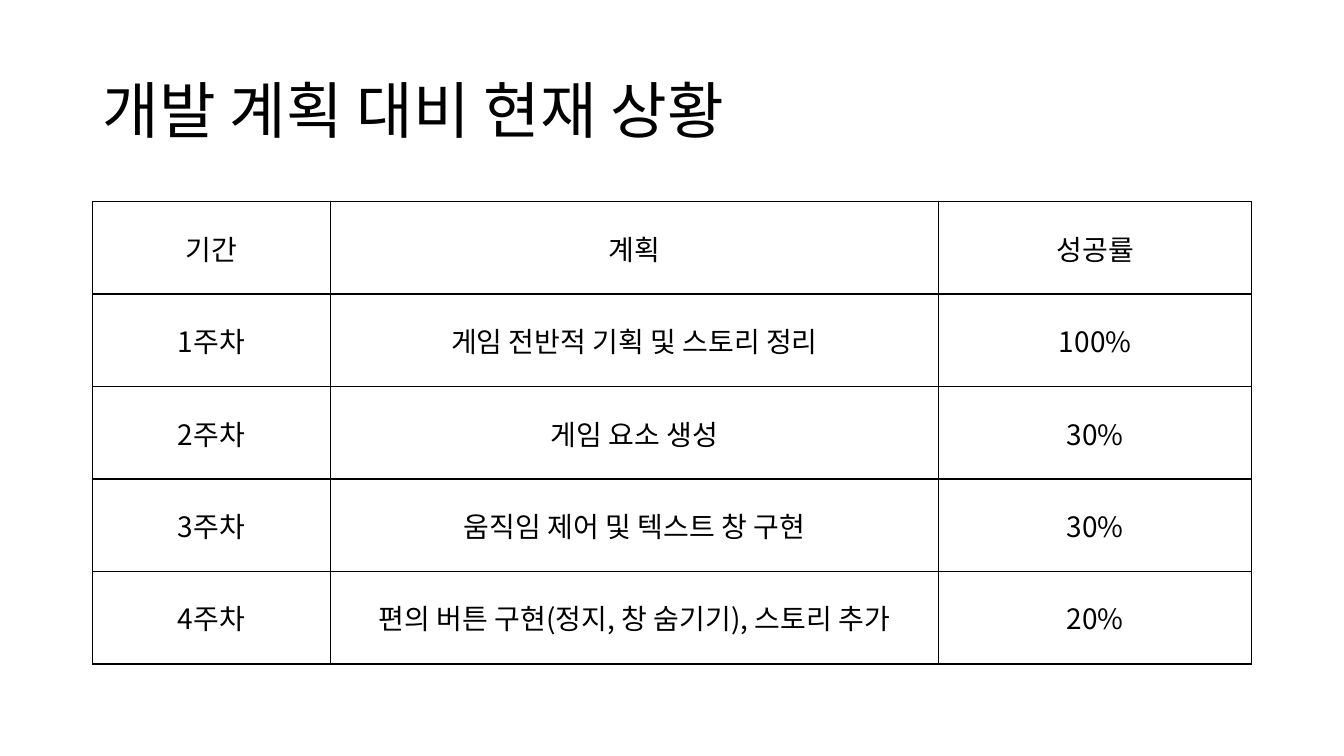
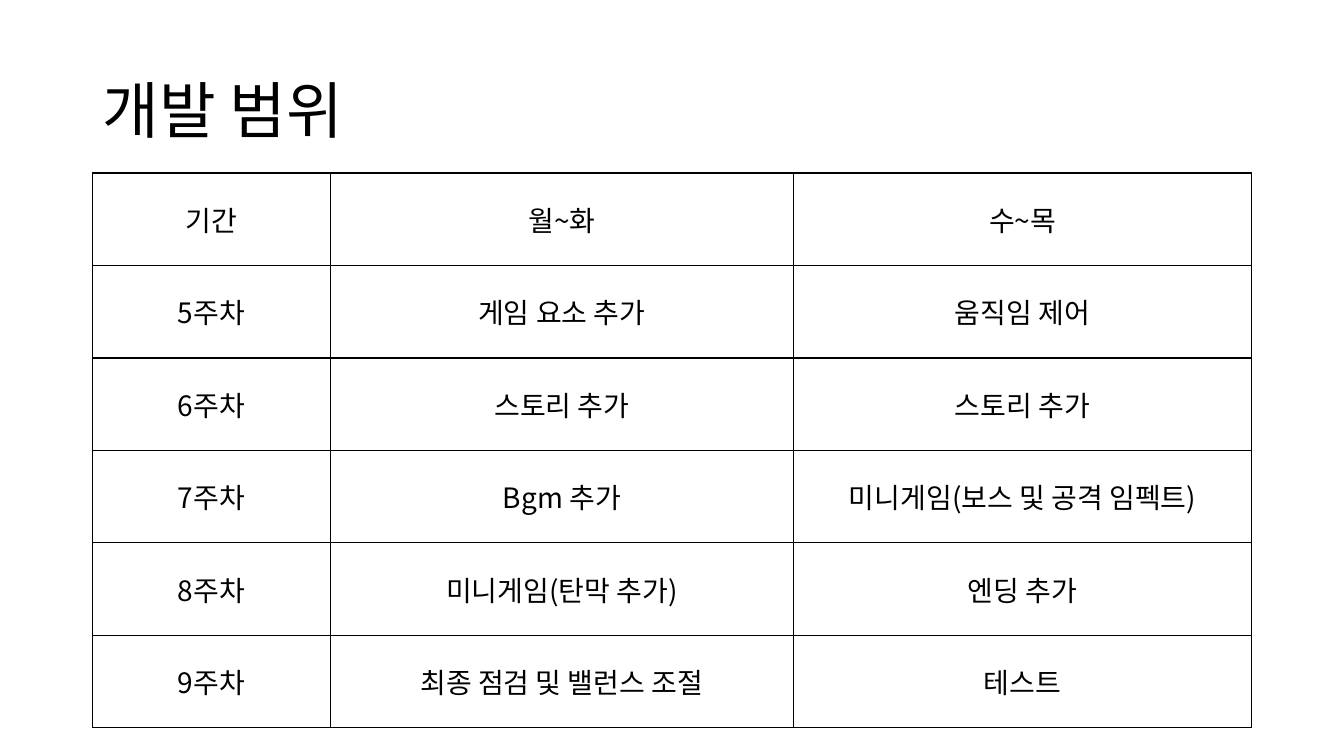
from dataclasses import dataclass

import lxml.etree
import pptx
import pptx.dml.color
import pptx.enum.text
import pptx.oxml.ns
import pptx.util

Cm = pptx.util.Cm
Pt = pptx.util.Pt
qn = pptx.oxml.ns.qn

FONT = "Noto Sans CJK KR"
BLACK = "000000"
WHITE = "FFFFFF"
LEFT, WIDTH = 2.33, 29.21
TITLE_TOP, TITLE_HEIGHT = 1.02, 3.68
ROW_HEIGHT = 2.33
PERIOD_WIDTH = 5.99


@dataclass(frozen=True)
class Schedule:
    title: str
    top: float
    plan_width: float
    rows: list[tuple[str, str, str]]


SCHEDULES = [
    Schedule("개발 계획 대비 현재 상황", 5.08, 15.34, [
        ("기간", "계획", "성공률"),
        ("1주차", "게임 전반적 기획 및 스토리 정리", "100%"),
        ("2주차", "게임 요소 생성", "30%"),
        ("3주차", "움직임 제어 및 텍스트 창 구현", "30%"),
        ("4주차", "편의 버튼 구현(정지, 창 숨기기), 스토리 추가", "20%"),
    ]),
    Schedule("개발 범위", 4.36, 11.68, [
        ("기간", "월~화", "수~목"),
        ("5주차", "게임 요소 추가", "움직임 제어"),
        ("6주차", "스토리 추가", "스토리 추가"),
        ("7주차", "Bgm 추가", "미니게임(보스 및 공격 임펙트)"),
        ("8주차", "미니게임(탄막 추가)", "엔딩 추가"),
        ("9주차", "최종 점검 및 밸런스 조절", "테스트"),
    ]),
]


def rgb(value: str) -> pptx.dml.color.RGBColor:
    return pptx.dml.color.RGBColor.from_string(value)


def set_text(tf, text: str, size: float, align) -> None:
    tf.text = text
    p = tf.paragraphs[0]
    p.alignment = align
    for r in p.runs:
        r.font.size = Pt(size)
        r.font.color.rgb = rgb(BLACK)
        r.font.name = FONT
        ea = lxml.etree.SubElement(r._r.get_or_add_rPr(), qn("a:ea"))
        ea.set("typeface", FONT)


def set_borders(cell, color: str, width: float) -> None:
    props = cell._tc.get_or_add_tcPr()
    for i, side in enumerate(("a:lnL", "a:lnR", "a:lnT", "a:lnB")):
        ln = lxml.etree.Element(qn(side), w=str(Pt(width)))
        fill = lxml.etree.SubElement(ln, qn("a:solidFill"))
        lxml.etree.SubElement(fill, qn("a:srgbClr"), val=color)
        props.insert(i, ln)


def add_title(slide, text: str) -> None:
    sp = slide.shapes.title
    sp.left, sp.top = Cm(LEFT), Cm(TITLE_TOP)
    sp.width, sp.height = Cm(WIDTH), Cm(TITLE_HEIGHT)
    tf = sp.text_frame
    tf.word_wrap = True
    tf.auto_size = pptx.enum.text.MSO_AUTO_SIZE.NONE
    tf.vertical_anchor = pptx.enum.text.MSO_ANCHOR.MIDDLE
    set_text(tf, text, 44, pptx.enum.text.PP_ALIGN.LEFT)
    tf.paragraphs[0].line_spacing = 0.9


def add_schedule(slide, schedule: Schedule) -> None:
    rows = schedule.rows
    widths = (PERIOD_WIDTH, schedule.plan_width,
              WIDTH - PERIOD_WIDTH - schedule.plan_width)
    table = slide.shapes.add_table(
        len(rows), len(widths), Cm(LEFT), Cm(schedule.top),
        Cm(WIDTH), Cm(ROW_HEIGHT * len(rows))).table
    table.first_row = False
    table.horz_banding = False
    for column, width in zip(table.columns, widths):
        column.width = Cm(width)
    for row, texts in zip(table.rows, rows):
        row.height = Cm(ROW_HEIGHT)
        for cell, text in zip(row.cells, texts):
            cell.fill.solid()
            cell.fill.fore_color.rgb = rgb(WHITE)
            cell.vertical_anchor = pptx.enum.text.MSO_ANCHOR.MIDDLE
            set_text(cell.text_frame, text, 20, pptx.enum.text.PP_ALIGN.CENTER)
            set_borders(cell, BLACK, 1)


def main() -> None:
    prs = pptx.Presentation()
    prs.slide_width, prs.slide_height = Cm(33.87), Cm(19.05)
    title_only = prs.slide_layouts.get_by_name("Title Only")
    for schedule in SCHEDULES:
        slide = prs.slides.add_slide(title_only)
        add_title(slide, schedule.title)
        add_schedule(slide, schedule)
    prs.save("out.pptx")


main()
